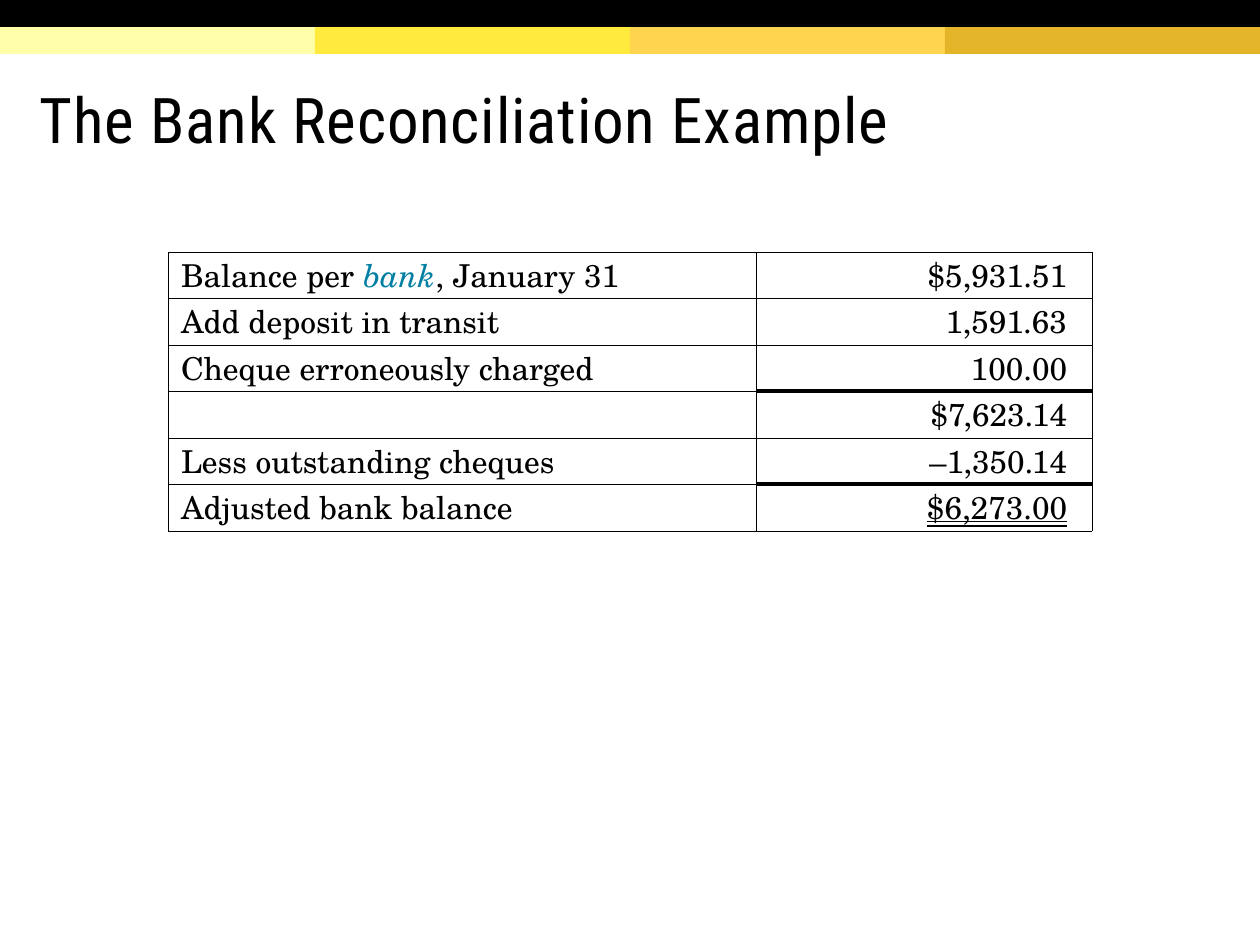
from pptx import Presentation
from pptx.dml.color import RGBColor
from pptx.enum.shapes import MSO_SHAPE as Shape
from pptx.enum.text import MSO_ANCHOR as Anchor, MSO_UNDERLINE as Under, PP_ALIGN as Align
from pptx.oxml import parse_xml
from pptx.oxml.ns import nsdecls
from pptx.util import Pt

PX = 914400 // 126  # EMU in one px
BLACK = RGBColor(0x00, 0x00, 0x00)
TEAL = RGBColor(0x00, 0x7F, 0xA3)
BANDS = [RGBColor(0xFF, 0xFF, 0xAA), RGBColor(0xFF, 0xEA, 0x3D),
         RGBColor(0xFF, 0xD5, 0x4F), RGBColor(0xE4, 0xB4, 0x29)]
HEAD = "Roboto Condensed"
BODY = "TeX Gyre Schola"
THIN, THICK = 0.25, 2.25  # border widths in points

# Label runs, amount
ROWS = [
    (["Balance per ", "bank", ", January 31"], "$5,931.51"),
    (["Add deposit in transit"], "1,591.63"),
    (["Cheque erroneously charged"], "100.00"),
    ([], "$7,623.14"),
    (["Less outstanding cheques"], "–1,350.14"),
    (["Adjusted bank balance"], "$6,273.00"),
]
SUMS = {3, 5}  # rows with a thick rule above the amount
COLS = [588, 336]
EDGES = [252, 298, 345, 391, 438, 484, 531]


def px(n):
    return n * PX


def add_text(para, text, font=BODY, size=18, color=BLACK, italic=False,
             under=None, gap=None):
    run = para.add_run()
    run.text = text
    face = run.font
    face.name, face.size, face.italic = font, Pt(size), italic
    face.color.rgb = color
    if under:
        face.underline = under
    if gap:
        run._r.get_or_add_rPr().set("spc", str(gap))


def add_bar(slide, x, y, w, h, color):
    bar = slide.shapes.add_shape(Shape.RECTANGLE, px(x), px(y), px(w), px(h))
    bar.shadow.inherit = False
    bar.fill.solid()
    bar.fill.fore_color.rgb = color
    bar.line.fill.background()


def add_title(slide, text):
    box = slide.shapes.add_textbox(px(27), px(59), px(1196), px(123))
    frame = box.text_frame
    frame.word_wrap = True
    frame.vertical_anchor = Anchor.MIDDLE
    frame.margin_left = frame.margin_right = frame.margin_top = px(13)
    frame.margin_bottom = px(6)
    para = frame.paragraphs[0]
    para.line_spacing = 0.85
    add_text(para, text, font=HEAD, size=36, gap=50)


def set_edges(cell, top, bottom):
    props = cell._tc.get_or_add_tcPr()
    for side, width in zip("LRTB", (THIN, THIN, top, bottom)):
        props.append(parse_xml(
            f'<a:ln{side} {nsdecls("a")} w="{Pt(width)}"><a:solidFill>'
            f'<a:srgbClr val="{BLACK}"/></a:solidFill></a:ln{side}>'))


def style_cell(cell, right=0, top=THIN, bottom=THIN):
    cell.margin_left = cell.margin_top = cell.margin_bottom = 0
    cell.margin_right = px(right)
    set_edges(cell, top, bottom)
    cell.fill.background()


def add_grid(slide):
    frame = slide.shapes.add_table(len(ROWS), len(COLS), px(168), px(EDGES[0]),
                                   px(sum(COLS)), px(EDGES[-1] - EDGES[0]))
    grid = frame.table
    grid.first_row = grid.horz_banding = False
    for col, width in zip(grid.columns, COLS):
        col.width = px(width)
    for i, (label, amount) in enumerate(ROWS):
        grid.rows[i].height = px(EDGES[i + 1] - EDGES[i])
        left, right = grid.cell(i, 0), grid.cell(i, 1)

        # Label
        style_cell(left)
        para = left.text_frame.paragraphs[0]
        para._p.get_or_add_pPr().set("marL", str(px(13)))
        para.font.size = Pt(18)
        for part in label:
            key = part == "bank"
            add_text(para, part, color=TEAL if key else BLACK, italic=key)

        # Amount
        style_cell(right, right=25, top=THICK if i in SUMS else THIN,
                   bottom=THICK if i + 1 in SUMS else THIN)
        para = right.text_frame.paragraphs[0]
        para.alignment = Align.RIGHT
        last = i == len(ROWS) - 1
        add_text(para, amount, under=Under.DOUBLE_LINE if last else None)


def main():
    deck = Presentation()
    deck.slide_width, deck.slide_height = px(1260), px(945)
    slide = deck.slides.add_slide(deck.slide_layouts[6])

    # Top bands
    for i, color in enumerate(BANDS):
        add_bar(slide, i * 315, 27, 315, 27, color)
    add_bar(slide, 0, 0, 1260, 27, BLACK)

    add_title(slide, "The Bank Reconciliation Example")
    add_grid(slide)
    deck.save("out.pptx")


if __name__ == "__main__":
    main()
